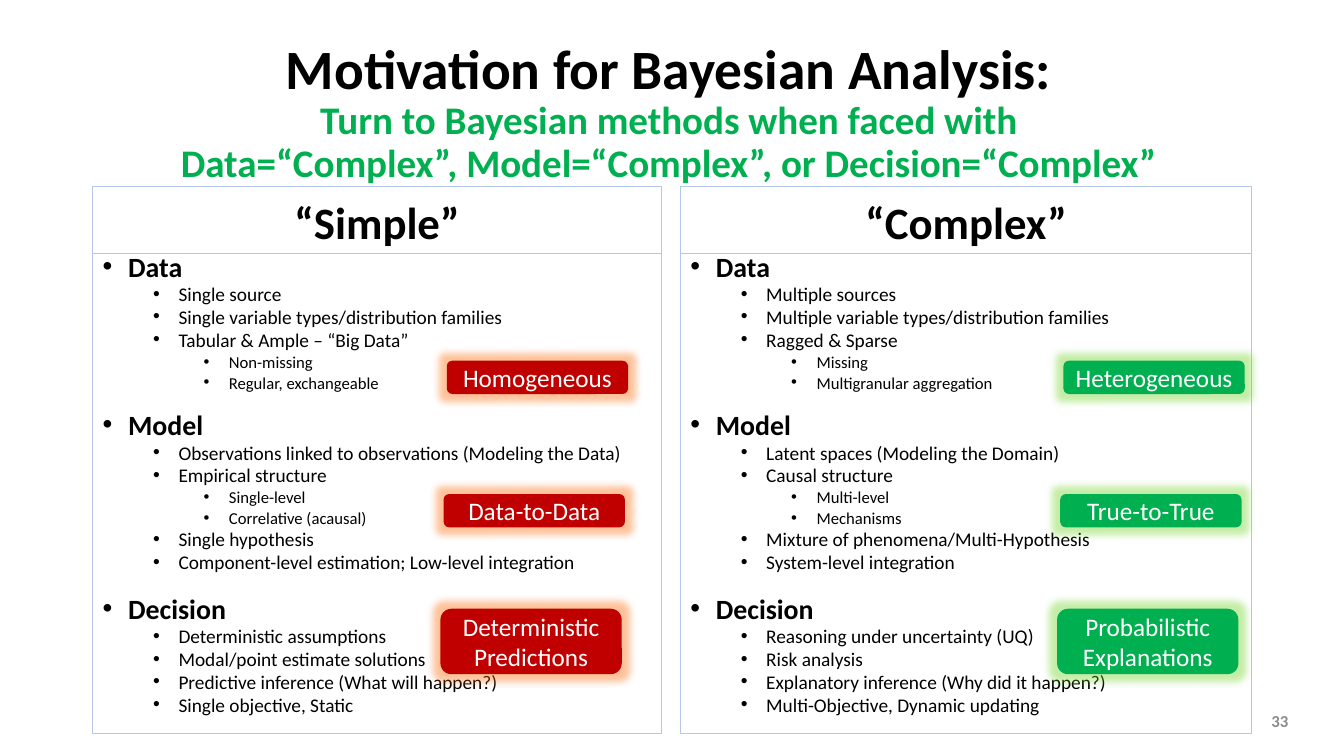
import pptx
import pptx.util
import pptx.dml.color
import pptx.enum.shapes
import pptx.enum.text
import pptx.oxml
import pptx.oxml.ns
from lxml import etree

Cm, Pt = pptx.util.Cm, pptx.util.Pt
SHAPE = pptx.enum.shapes.MSO_SHAPE
ALIGN = pptx.enum.text.PP_ALIGN
ANCHOR = pptx.enum.text.MSO_ANCHOR
qn = pptx.oxml.ns.qn

BLACK, WHITE, RED, GREEN = "000000", "FFFFFF", "C00000", "00B050"
BORDER, GRAY = "B4C7E7", "8C8C8C"
HEAD = 1.7                      # height of a panel's heading, in cm
SIZES = [19.9, 13.8, 11.9]      # text size by outline level
GAPS = [0, 18, 20]              # space above each topic, in points
PILLS = [(4.39, 0.84), (7.75, 0.84), (10.64, 1.65)]   # top, height

SIMPLE = [
    ("Data", [(1, "Single source"),
              (1, "Single variable types/distribution families"),
              (1, "Tabular & Ample – “Big Data”"),
              (2, "Non-missing"),
              (2, "Regular, exchangeable")]),
    ("Model", [(1, "Observations linked to observations (Modeling the Data)"),
               (1, "Empirical structure"),
               (2, "Single-level"),
               (2, "Correlative (acausal)"),
               (1, "Single hypothesis"),
               (1, "Component-level estimation; Low-level integration")]),
    ("Decision", [(1, "Deterministic assumptions"),
                  (1, "Modal/point estimate solutions"),
                  (1, "Predictive inference (What will happen?)"),
                  (1, "Single objective, Static")]),
]
COMPLEX = [
    ("Data", [(1, "Multiple sources"),
              (1, "Multiple variable types/distribution families"),
              (1, "Ragged & Sparse"),
              (2, "Missing"),
              (2, "Multigranular aggregation")]),
    ("Model", [(1, "Latent spaces (Modeling the Domain)"),
               (1, "Causal structure"),
               (2, "Multi-level"),
               (2, "Mechanisms"),
               (1, "Mixture of phenomena/Multi-Hypothesis"),
               (1, "System-level integration")]),
    ("Decision", [(1, "Reasoning under uncertainty (UQ)"),
                  (1, "Risk analysis"),
                  (1, "Explanatory inference (Why did it happen?)"),
                  (1, "Multi-Objective, Dynamic updating")]),
]


def color(code):
    return pptx.dml.color.RGBColor.from_string(code)


def style(para, size, code=BLACK, bold=False, align=ALIGN.CENTER):
    para.alignment = align
    font = para.font
    font.name, font.size, font.bold = "Calibri", Pt(size), bold
    font.color.rgb = color(code)


def lines(frame, texts):
    """Fill the frame with one paragraph per text and yield each."""
    for i, text in enumerate(texts):
        para = frame.add_paragraph() if i else frame.paragraphs[0]
        para.text = text
        yield para


def place(slide, box, anchor, kind=None):
    """Add a text box, or a preset shape of the given kind."""
    spots = [Cm(n) for n in box]
    if kind is None:
        shape = slide.shapes.add_textbox(*spots)
    else:
        shape = slide.shapes.add_shape(kind, *spots)
        shape.shadow.inherit = False
    shape.text_frame.word_wrap = True
    shape.text_frame.vertical_anchor = anchor
    return shape


def frame(slide, box, anchor):
    """Add an outlined rectangle and return its text frame."""
    shape = place(slide, box, anchor, SHAPE.RECTANGLE)
    shape.fill.background()
    shape.line.color.rgb = color(BORDER)
    shape.line.width = Pt(0.75)
    return shape.text_frame


def title(slide, box):
    shape = place(slide, box, ANCHOR.MIDDLE)
    rows = [("Motivation for Bayesian Analysis:", 39.6, BLACK),
            ("Turn to Bayesian methods when faced with", 27.9, GREEN),
            ("Data=“Complex”, Model=“Complex”, or Decision=“Complex”",
             27.9, GREEN)]
    paras = lines(shape.text_frame, [row[0] for row in rows])
    for para, (_, size, code) in zip(paras, rows):
        para.line_spacing = 0.9
        style(para, size, code, True)


def bullet(para, level):
    para.level = level
    props = para._p.get_or_add_pPr()
    props.set("marL", str(Cm(0.64 + 1.27 * level)))
    props.set("indent", str(-Cm(0.64)))
    etree.SubElement(props, qn("a:buFont"), typeface="Arial")
    etree.SubElement(props, qn("a:buChar"), char="•")


def outline(frame, topics):
    rows = []
    for gap, (head, items) in zip(GAPS, topics):
        rows.append((0, head, gap))
        rows += [(level, text, 4.7) for level, text in items]
    paras = lines(frame, [row[1] for row in rows])
    for para, (level, _, gap) in zip(paras, rows):
        bullet(para, level)
        para.line_spacing = 0.7
        para.space_before = Pt(gap)
        style(para, SIZES[level], bold=level == 0, align=ALIGN.LEFT)


def pill(slide, box, text, fill, glow):
    shape = place(slide, box, ANCHOR.MIDDLE, SHAPE.ROUNDED_RECTANGLE)
    shape.fill.solid()
    shape.fill.fore_color.rgb = color(fill)
    shape.line.fill.background()
    halo = etree.SubElement(shape._element.spPr.find(qn("a:effectLst")),
                            qn("a:glow"), rad=str(Pt(11)))
    tint = etree.SubElement(halo, qn("a:srgbClr"), val=glow)
    etree.SubElement(tint, qn("a:alpha"), val="40000")
    for para in lines(shape.text_frame, [text]):
        style(para, 18, WHITE)


def panel(slide, box, name, topics, tags, inset, fill, glow):
    """Draw a headed outline with a glowing tag beside each topic."""
    left, top, width, height = box
    head = frame(slide, (left, top, width, HEAD), ANCHOR.BOTTOM)
    for para in lines(head, [name]):
        para.line_spacing = 0.9
        style(para, 32, bold=True)
    body = frame(slide, (left, top + HEAD, width, height - HEAD), ANCHOR.TOP)
    outline(body, topics)
    for i, (tag, (drop, tall)) in enumerate(zip(tags, PILLS)):
        spot = (left + inset - 0.08 * i, top + drop, 4.57, tall)
        pill(slide, spot, tag, fill, glow)


def number(slide, box):
    shape = place(slide, box, ANCHOR.MIDDLE)
    for para in lines(shape.text_frame, ["33"]):
        style(para, 12, GRAY, True, ALIGN.RIGHT)


def main():
    deck = pptx.Presentation()
    deck.slide_width, deck.slide_height = Cm(33.87), Cm(19.05)
    slide = deck.slides.add_slide(deck.slide_layouts[6])
    title(slide, (2.34, 1.02, 29.03, 3.68))
    panel(slide, (2.34, 4.7, 14.33, 13.79), "“Simple”", SIMPLE,
          ["Homogeneous", "Data-to-Data", "Deterministic Predictions"],
          8.92, RED, "FF6600")
    panel(slide, (17.15, 4.7, 14.4, 13.79), "“Complex”", COMPLEX,
          ["Heterogeneous", "True-to-True", "Probabilistic Explanations"],
          9.65, GREEN, "6BD31F")
    number(slide, (25.1, 17.65, 7.62, 1.02))
    deck.save("out.pptx")


if __name__ == "__main__":
    main()
